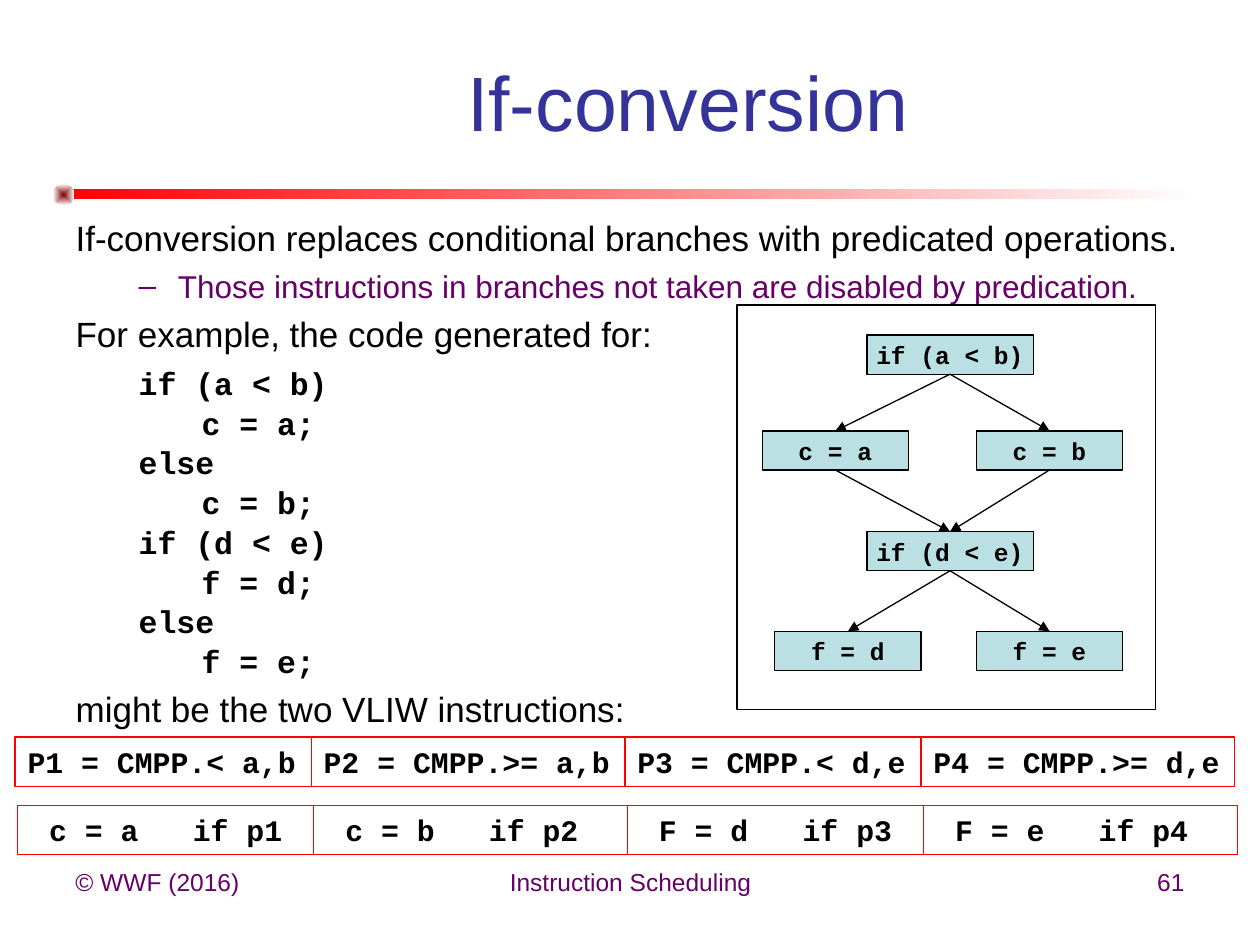
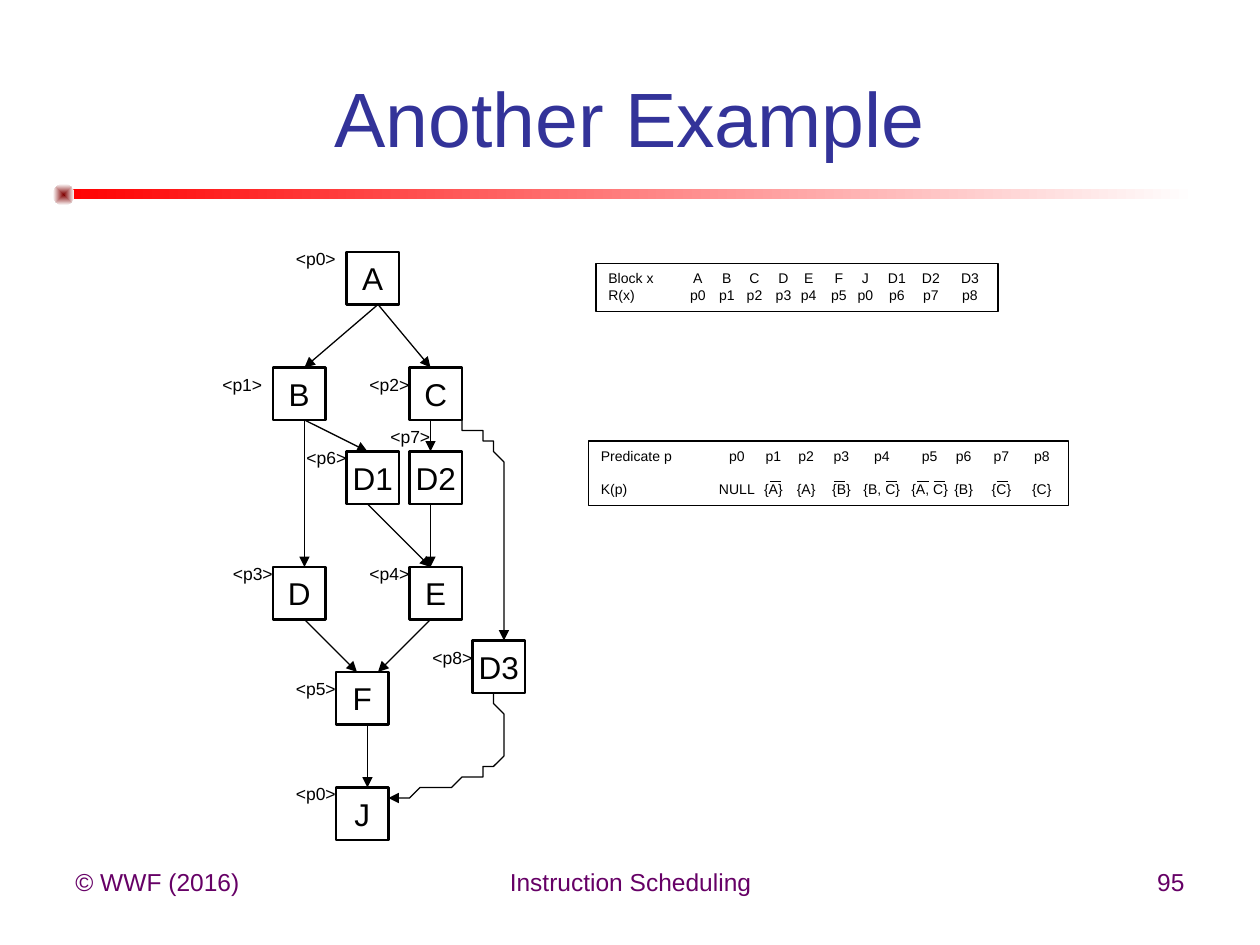
from copy import deepcopy
from lxml.etree import SubElement
from pptx import Presentation
from pptx.dml.color import RGBColor
from pptx.enum.shapes import MSO_CONNECTOR, MSO_SHAPE
from pptx.enum.text import MSO_ANCHOR, MSO_AUTO_SIZE, PP_ALIGN
from pptx.oxml import parse_xml
from pptx.oxml.ns import nsdecls, qn
from pptx.util import Inches, Pt

BLACK = RGBColor(0x00, 0x00, 0x00)
WHITE = RGBColor(0xFF, 0xFF, 0xFF)
RED = RGBColor(0xFF, 0x00, 0x00)
MAROON = RGBColor(0x80, 0x00, 0x00)
NAVY = RGBColor(0x33, 0x33, 0x99)
PLUM = RGBColor(0x66, 0x00, 0x66)
AQUA = RGBColor(0xBB, 0xE0, 0xE3)
SANS, MONO = "Arial", "Courier New"
LEFT, MID, RIGHT = PP_ALIGN.LEFT, PP_ALIGN.CENTER, PP_ALIGN.RIGHT


def put(slide, box, text="", size=14, font=SANS, color=BLACK, bold=False,
        align=LEFT, fill=None, line=None, width=0.75, kind=MSO_SHAPE.RECTANGLE,
        wrap=False, anchor=MSO_ANCHOR.TOP, inset=0.1, tabs=(), mode="l", gap=0):
    """Add a shape with text; box is left, top, width, height in inches."""
    shape = slide.shapes.add_shape(kind, *[Inches(v) for v in box])
    shape.shadow.inherit = False
    if fill is None:
        shape.fill.background()
    else:
        shape.fill.solid()
        shape.fill.fore_color.rgb = fill
    if line is None:
        shape.line.fill.background()
    else:
        shape.line.color.rgb = line
        shape.line.width = Pt(width)
    frame = shape.text_frame
    frame.text = text
    frame.word_wrap = wrap
    frame.vertical_anchor = anchor
    frame.margin_left = Inches(inset)
    for i, para in enumerate(frame.paragraphs):
        para.alignment = align
        if i and gap:
            para.space_before = Pt(gap)
        if tabs:
            stops = SubElement(para._p.get_or_add_pPr(), qn("a:tabLst"))
            for stop in tabs:
                SubElement(stops, qn("a:tab"), pos=str(Inches(stop)), algn=mode)
        for run in para.runs:
            run.font.name, run.font.size, run.font.bold = font, Pt(size), bold
            run.font.color.rgb = color
    return shape


def ink(path, head=True):
    """Thin black line, with an arrowhead at its end if wanted."""
    path.line.color.rgb = BLACK
    path.line.width = Pt(0.75)
    prop = path._element.spPr
    if head:
        SubElement(prop.find(qn("a:ln")), qn("a:tailEnd"), type="triangle")
    if prop.find(qn("a:effectLst")) is None:
        SubElement(prop, qn("a:effectLst"))


deck = Presentation()
deck.slide_width, deck.slide_height = Inches(10), Inches(7.5)
first = deck.slides.add_slide(deck.slide_layouts[1])
second = deck.slides.add_slide(deck.slide_layouts[5])

# Shared band and knob, placed on the master
band = put(first, (0.5, 1.5, 9, 0.08))
knob = put(first, (0.42, 1.46, 0.17, 0.17), kind=MSO_SHAPE.OVAL)
for part, tint in ((band, RED), (knob, MAROON)):
    part.fill.gradient()
    part.fill.gradient_angle = 0
    for stop, color in zip(part.fill.gradient_stops, (tint, WHITE)):
        stop.color.rgb = color
grad = knob._element.spPr.find(qn("a:gradFill"))
grad.replace(grad.find(qn("a:lin")), parse_xml(
    f'<a:path {nsdecls("a")} path="shape">'
    '<a:fillToRect l="50000" t="50000" r="50000" b="50000"/></a:path>'))
tree = deck.slide_master.shapes._spTree
for i, part in enumerate((band, knob)):
    part._element.nvSpPr.cNvPr.set("id", str(20 + i))
    tree.insert(2 + i, part._element)

# Titles and footers
for slide, title, box, page in (
        (first, "If-conversion", (1.42, 0.43, 8.08, 0.83), "61"),
        (second, "Another Example", (0.5, 0.3, 9, 1.25), "95")):
    head = slide.shapes.title
    head.left, head.top, head.width, head.height = [Inches(v) for v in box]
    head.text_frame.text = title
    head.text_frame.auto_size = MSO_AUTO_SIZE.NONE
    head.text_frame.vertical_anchor = MSO_ANCHOR.MIDDLE
    para = head.text_frame.paragraphs[0]
    para.alignment = MID
    face = para.runs[0].font
    face.name, face.size, face.color.rgb = SANS, Pt(44), NAVY
    for left, width, text, align in (
            (0.5, 2.33, "© WWF (2016)", LEFT),
            (3.42, 3.17, "Instruction Scheduling", MID),
            (7.17, 2.33, page, RIGHT)):
        put(slide, (left, 6.83, width, 0.52), text, color=PLUM, align=align,
            wrap=True)
first.shapes.title.text_frame.paragraphs[0].line_spacing = 0.9

# Slide 1: body text
body = first.placeholders[1]
body.left, body.top = Inches(0.5), Inches(1.67)
body.width, body.height = Inches(9), Inches(5.17)
body.text_frame.auto_size = MSO_AUTO_SIZE.NONE
code = "\v".join((
    "\tif (a < b)", "\t\tc = a;", "\telse", "\t\tc = b;",
    "\tif (d < e)", "\t\tf = d;", "\telse", "\t\tf = e;"))
lines = (
    ("If-conversion replaces conditional branches with predicated operations.",
     0, 20, SANS, BLACK),
    ("Those instructions in branches not taken are disabled by predication.",
     1, 18, SANS, PLUM),
    ("For example, the code generated for:", 0, 20, SANS, BLACK),
    (code, 0, 18, MONO, BLACK),
    ("might be the two VLIW instructions:", 0, 20, SANS, BLACK))
body.text_frame.text = "\n".join(item[0] for item in lines)
for i, (para, item) in enumerate(zip(body.text_frame.paragraphs, lines)):
    _, level, size, font, color = item
    para.level = level
    para.space_before = Pt(4.5 if i else 0)
    prop = para._p.get_or_add_pPr()
    if level == 0:
        prop.set("marL", "0")
        prop.set("indent", "0")
        SubElement(prop, qn("a:buNone"))
    if font == MONO:
        para.line_spacing = 1.05
        stops = SubElement(prop, qn("a:tabLst"))
        for stop in (1, 2):
            SubElement(stops, qn("a:tab"), pos=str(Inches(stop)), algn="l")
    for run in para.runs:
        run.font.name, run.font.size = font, Pt(size)
        run.font.bold = font == MONO
        run.font.color.rgb = color
    for gap in para._p.findall(qn("a:br")):
        gap.append(deepcopy(para.runs[0]._r.rPr))

# Slide 1: the two instruction words
slots = (2.35, 2.49, 2.35, 2.49)
tests = ("P1 = CMPP.< a,b", "P2 = CMPP.>= a,b",
         "P3 = CMPP.< d,e", "P4 = CMPP.>= d,e")
moves = ("c = a\tif p1", "c = b\tif p2", "F = d\tif p3", "F = e\tif p4")
for left, top, inset, cells in ((0.12, 5.85, 0.1, tests),
                                (0.14, 6.39, 0.25, moves)):
    for width, text in zip(slots, cells):
        put(first, (left, top, width, 0.39), text, 17, MONO, bold=True,
            line=RED, inset=inset, wrap=cells is moves,
            tabs=(1.14,) if cells is moves else ())
        left += width

# Slide 1: flow chart
put(first, (5.85, 2.42, 3.32, 3.21), line=BLACK)
nodes = {}
for text, left, top, width in (
        ("if (a < b)", 6.88, 2.66, 1.32),
        ("c = a", 6.05, 3.42, 1.16), ("c = b", 7.75, 3.42, 1.16),
        ("f = d", 6.15, 5.01, 1.16), ("f = e", 7.75, 5.01, 1.16),
        ("if (d < e)", 6.88, 4.22, 1.32)):
    nodes[text] = put(first, (left, top, width, 0.31), text, 14, MONO,
                      bold=True, align=MID, fill=AQUA, line=BLACK,
                      kind=MSO_SHAPE.FLOWCHART_PROCESS,
                      anchor=MSO_ANCHOR.MIDDLE)
for start, end in (("if (a < b)", "c = a"), ("if (a < b)", "c = b"),
                   ("c = a", "if (d < e)"), ("c = b", "if (d < e)"),
                   ("if (d < e)", "f = d"), ("if (d < e)", "f = e")):
    link = first.shapes.add_connector(MSO_CONNECTOR.STRAIGHT, 0, 0, 0, 0)
    link.begin_connect(nodes[start], 2)
    link.end_connect(nodes[end], 0)
    ink(link)

# Slide 2: blocks on a grid of twelfths of an inch
UNIT = 1 / 12
for text, col, row in (
        ("A", 33, 24), ("B", 26, 35), ("C", 39, 35), ("D1", 33, 43),
        ("D2", 39, 43), ("E", 39, 54), ("D", 26, 54), ("F", 32, 64),
        ("J", 32, 75), ("D3", 45, 61)):
    put(second, (col * UNIT, row * UNIT, 5 * UNIT, 5 * UNIT), text, 18,
        align=MID, fill=WHITE, line=BLACK, width=1.5, anchor=MSO_ANCHOR.MIDDLE)

# Slide 2: straight edges
for edge in ((36, 29, 29, 35), (36, 29, 41, 35), (29, 40, 29, 54),
             (29, 40, 35, 43), (41, 40, 41, 43), (41, 48, 41, 54),
             (35, 48, 41, 54), (29, 59, 34, 64), (41, 59, 36, 64),
             (35, 69, 35, 75)):
    ink(second.shapes.add_connector(
        MSO_CONNECTOR.STRAIGHT, *[Inches(v * UNIT) for v in edge]))

# Slide 2: curved edges, each a chain of cubic curves
STEPS = 12
for knots in (
        ((47, 66), (47.84, 68.64), (48.7, 71.3), (47, 73),
         (45.4, 74.6), (38.6, 75.5), (37, 76)),
        ((41, 40), (42.5, 40.2), (44, 40.5), (45, 41),
         (46, 41.5), (46.5, 42.1), (47, 43),
         (47.5, 43.8), (47.9, 43), (48, 46),
         (48.1, 49), (48, 55), (48, 61))):
    dots = []
    for i in range(0, len(knots) - 1, 3):
        for step in range(1, STEPS + 1):
            t = step / STEPS
            mix = ((1 - t) ** 3, 3 * t * (1 - t) ** 2, 3 * t * t * (1 - t), t ** 3)
            dots.append([sum(m * k[axis] for m, k in zip(mix, knots[i:i + 4]))
                         for axis in (0, 1)])
    pen = second.shapes.build_freeform(*knots[0], scale=Inches(UNIT))
    pen.add_line_segments(dots, close=False)
    curve = pen.convert_to_shape()
    curve.fill.background()
    curve.shadow.inherit = False
    ink(curve)

# Slide 2: predicate labels
for text, col, row in (
        ("<p0>", 27, 23), ("<p1>", 20, 35), ("<p2>", 34, 35), ("<p3>", 21, 53),
        ("<p4>", 34, 53), ("<p5>", 27, 64), ("<p6>", 28, 42), ("<p7>", 36, 40),
        ("<p8>", 40, 61), ("<p0>", 27, 74)):
    put(second, (col * UNIT, row * UNIT, 0.52, 0.27), text, 10)

# Slide 2: block and predicate lists
rows = (("Block x", "A", "B", "C", "D", "E", "F", "J", "D1", "D2", "D3"),
        ("R(x)", "p0", "p1", "p2", "p3", "p4", "p5", "p0", "p6", "p7", "p8"))
put(second, (4.73, 2.09, 3.19, 0.38), "\n".join("\t".join(r) for r in rows), 8,
    line=BLACK, wrap=True, mode="ctr",
    tabs=(0.71, 0.94, 1.16, 1.39, 1.59, 1.83, 2.04, 2.29, 2.56, 2.87))
rows = (("Predicate p", "p0", "p1", "p2", "p3", "p4", "p5", "p6", "p7", "p8"),
        ("K(p)", "NULL", "{A}", "{A}", "{B}", "{B, C}", "{A, C}", "{B}",
         "{C}", "{C}"))
put(second, (4.67, 3.5, 3.81, 0.51), "\n".join("\t".join(r) for r in rows), 8,
    line=BLACK, wrap=True, mode="ctr", gap=9.6,
    tabs=(1.08, 1.37, 1.63, 1.91, 2.23, 2.61, 2.88, 3.18, 3.5))
for left in (6.11, 6.62, 7.03, 7.28, 7.41, 7.91):
    ink(second.shapes.add_connector(
        MSO_CONNECTOR.STRAIGHT, Inches(left), Inches(3.82),
        Inches(left + 0.09), Inches(3.82)), head=False)

deck.save("out.pptx")
